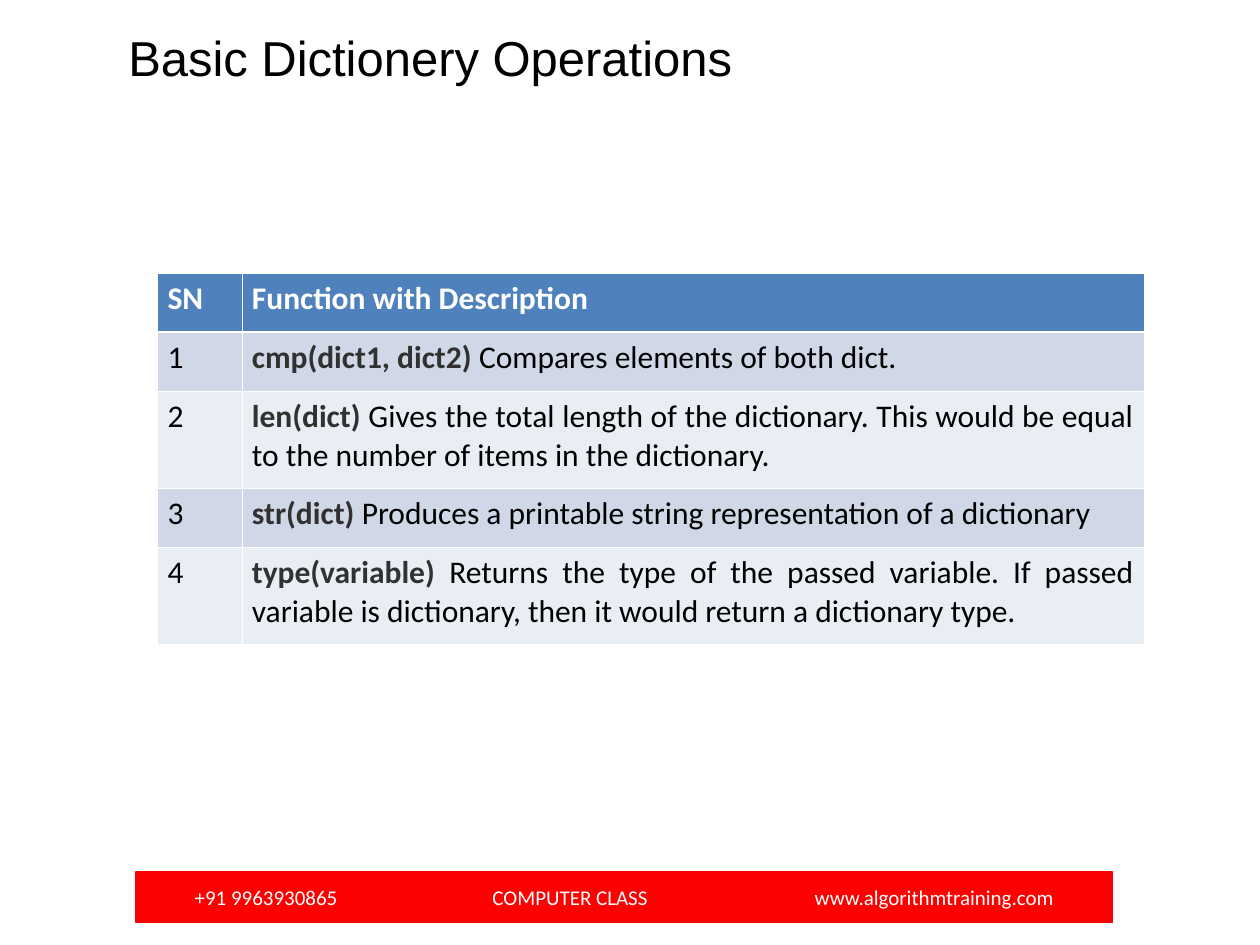
import pptx
import pptx.dml.color
import pptx.enum.shapes
import pptx.enum.text
import pptx.oxml.ns
import pptx.util
from lxml import etree

Inches = pptx.util.Inches
Pt = pptx.util.Pt
ALIGN = pptx.enum.text.PP_ALIGN
ANCHOR = pptx.enum.text.MSO_ANCHOR

WIDTH, HEIGHT = 10, 7.5
BLACK, WHITE, RED = "000000", "FFFFFF", "FD0000"
HEADER_FILL, CODE_COLOR = "4F81BD", "313131"
BAND_FILLS = ("D0D8E8", "E9EDF4")
HAIRLINE, HEADER_RULE = 0.45, 1.47

# Number of text lines, function, description
FUNCTIONS = [
    (1, "cmp(dict1, dict2) ", "Compares elements of both dict."),
    (2, "len(dict) ", "Gives the total length of the dictionary. This would be "
     "equal to the number of items in the dictionary."),
    (1, "str(dict) ", "Produces a printable string representation of a dictionary"),
    (2, "type(variable) ", "Returns the type of the passed variable. If passed "
     "variable is dictionary, then it would return a dictionary type."),
]
CONTACTS = ["+91 9963930865", "COMPUTER CLASS", "www.algorithmtraining.com"]


def color(value):
    return pptx.dml.color.RGBColor.from_string(value)


def add_run(paragraph, text, size, text_color, font="Calibri", bold=False):
    run = paragraph.add_run()
    run.text = text
    run.font.size = Pt(size)
    run.font.name = font
    run.font.bold = bold
    run.font.color.rgb = color(text_color)


def add_child(parent, tag, **attributes):
    return etree.SubElement(parent, pptx.oxml.ns.qn(tag), attributes)


def add_title(slide, box):
    frame = slide.shapes.add_textbox(*map(Inches, box)).text_frame
    frame.word_wrap = True
    add_run(frame.paragraphs[0], "Basic Dictionery Operations", 28, BLACK, "Arial")


def style_cell(cell, fill, top, bottom):
    """Give a cell white borders, a fill and its side margins."""
    properties = cell._tc.get_or_add_tcPr()
    for side, width in (("L", HAIRLINE), ("R", HAIRLINE), ("T", top), ("B", bottom)):
        line = add_child(properties, f"a:ln{side}", w=str(Pt(width)))
        add_child(add_child(line, "a:solidFill"), "a:srgbClr", val=WHITE)
    cell.fill.solid()
    cell.fill.fore_color.rgb = color(fill)
    cell.margin_left = cell.margin_right = Inches(0.08)


def add_function_table(slide, box):
    line_counts = [1] + [lines for lines, _, _ in FUNCTIONS]
    frame = slide.shapes.add_table(len(line_counts), 2, *map(Inches, box))
    table = frame.table
    number_width = 0.67
    table.columns[0].width = Inches(number_width)
    table.columns[1].width = Inches(box[2] - number_width)

    for index, (row, lines) in enumerate(zip(table.rows, line_counts)):
        row.height = Inches(0.165 + 0.303 * lines)
        fill = BAND_FILLS[(index - 1) % 2] if index else HEADER_FILL
        top = HEADER_RULE if index == 1 else HAIRLINE
        bottom = HEADER_RULE if index == 0 else HAIRLINE
        for cell in row.cells:
            style_cell(cell, fill, top, bottom)

    for column, heading in enumerate(("SN", "Function with Description")):
        paragraph = table.cell(0, column).text_frame.paragraphs[0]
        add_run(paragraph, heading, 18, WHITE, bold=True)
    for number, (_, function, description) in enumerate(FUNCTIONS, start=1):
        add_run(table.cell(number, 0).text_frame.paragraphs[0], str(number), 18, BLACK)
        paragraph = table.cell(number, 1).text_frame.paragraphs[0]
        paragraph.alignment = ALIGN.JUSTIFY
        add_run(paragraph, function, 18, CODE_COLOR, bold=True)
        add_run(paragraph, description, 18, BLACK)


def add_footer(slide, box):
    shape = slide.shapes.add_shape(
        pptx.enum.shapes.MSO_SHAPE.RECTANGLE, *map(Inches, box))
    shape.shadow.inherit = False
    shape.fill.solid()
    shape.fill.fore_color.rgb = color(RED)
    shape.line.color.rgb = color(RED)
    shape.line.width = Pt(0.75)

    frame = shape.text_frame
    frame.word_wrap = True
    frame.vertical_anchor = ANCHOR.MIDDLE
    frame.margin_left = Inches(0.06 * box[2])
    paragraph = frame.paragraphs[0]
    paragraph.alignment = ALIGN.LEFT
    tabs = add_child(paragraph._p.get_or_add_pPr(), "a:tabLst")
    for share in (0.305, 0.635):
        add_child(tabs, "a:tab", pos=str(Inches(share * box[2])), algn="l")
    add_run(paragraph, "\t".join(CONTACTS), 12, WHITE)


def main():
    presentation = pptx.Presentation()
    presentation.slide_width = Inches(WIDTH)
    presentation.slide_height = Inches(HEIGHT)
    slide = presentation.slides.add_slide(presentation.slide_layouts[6])
    add_title(slide, (0.92, 0.17, 0.75 * WIDTH, 0.57))
    add_footer(slide, (1.08, 6.92, 7.75, 0.4))
    add_function_table(slide, (1.25, 2.17, 7.83, 2.93))
    presentation.save("out.pptx")


if __name__ == "__main__":
    main()
